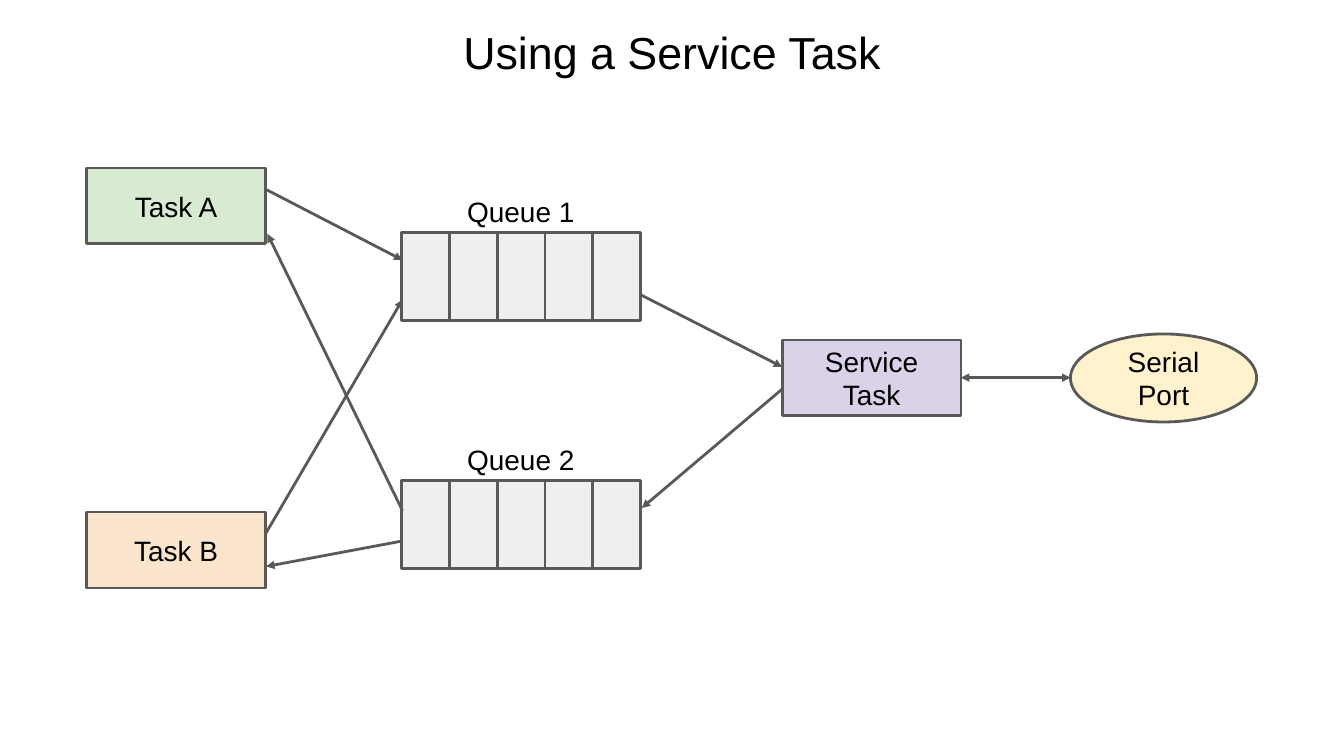
from dataclasses import dataclass

from lxml.etree import SubElement
from pptx import Presentation
from pptx.dml.color import RGBColor
from pptx.enum.shapes import MSO_CONNECTOR, MSO_SHAPE
from pptx.enum.text import MSO_ANCHOR, PP_ALIGN
from pptx.oxml.ns import qn
from pptx.util import Inches, Pt


@dataclass(frozen=True)
class Theme:
    font: str = "Arial"
    title_size: int = 48
    label_size: int = 30
    line_width: int = 3
    text: str = "000000"
    line: str = "595959"
    task_a: str = "D9EAD3"
    task_b: str = "FCE5CD"
    service: str = "D9D2E9"
    port: str = "FFF2CC"
    queue: str = "EFEFEF"


THEME = Theme()
BOX_WIDTH, BOX_HEIGHT = 2.66, 1.13
QUEUE_LEFT, CELL_WIDTH, CELL_HEIGHT, CELL_COUNT = 5.98, 0.71, 1.31, 5


def color(value):
    return RGBColor.from_string(value)


def write_text(shape, text, size):
    frame = shape.text_frame
    frame.word_wrap = True
    frame.vertical_anchor = MSO_ANCHOR.MIDDLE
    frame.margin_left = frame.margin_right = Inches(0.1)
    frame.margin_top = frame.margin_bottom = Inches(0.1)
    frame.text = text
    for paragraph in frame.paragraphs:
        paragraph.alignment = PP_ALIGN.CENTER
        paragraph.font.name = THEME.font
        paragraph.font.size = Pt(size)
        paragraph.font.color.rgb = color(THEME.text)


def set_title(slide, text):
    title = slide.shapes.title
    title.left, title.top = Inches(5.15), Inches(0)
    title.width, title.height = Inches(9.7), Inches(1.54)
    write_text(title, text, THEME.title_size)


def style_line(line):
    line.color.rgb = color(THEME.line)
    line.width = Pt(THEME.line_width)


def add_node(slide, kind, left, top, width, height, fill, text=""):
    shape = slide.shapes.add_shape(
        kind, Inches(left), Inches(top), Inches(width), Inches(height))
    shape.shadow.inherit = False
    shape.fill.solid()
    shape.fill.fore_color.rgb = color(fill)
    style_line(shape.line)
    if text:
        write_text(shape, text, THEME.label_size)


def add_box(slide, left, top, fill, text):
    add_node(slide, MSO_SHAPE.RECTANGLE, left, top,
             BOX_WIDTH, BOX_HEIGHT, fill, text)


def add_queue(slide, top, text):
    label = slide.shapes.add_textbox(
        Inches(6.61), Inches(top - 0.67), Inches(2.28), Inches(0.71))
    write_text(label, text, THEME.label_size)
    for index in range(CELL_COUNT):
        add_node(slide, MSO_SHAPE.RECTANGLE, QUEUE_LEFT + index * CELL_WIDTH, top,
                 CELL_WIDTH, CELL_HEIGHT, THEME.queue)


def add_arrow(slide, start, end, both_ends=False):
    connector = slide.shapes.add_connector(
        MSO_CONNECTOR.STRAIGHT, *(Inches(value) for value in start + end))
    style_line(connector.line)
    outline = connector.line._get_or_add_ln()
    for tag in ("a:headEnd", "a:tailEnd") if both_ends else ("a:tailEnd",):
        SubElement(outline, qn(tag), type="triangle")
    SubElement(connector._element.spPr, qn("a:effectLst"))


def main():
    presentation = Presentation()
    presentation.slide_width = Inches(20)
    presentation.slide_height = Inches(11.25)
    slide = presentation.slides.add_slide(presentation.slide_layouts[5])
    set_title(slide, "Using a Service Task")

    add_box(slide, 1.29, 2.5, THEME.task_a, "Task A")
    add_box(slide, 1.29, 7.62, THEME.task_b, "Task B")
    add_queue(slide, 3.46, "Queue 1")
    add_queue(slide, 7.15, "Queue 2")
    add_box(slide, 11.64, 5.06, THEME.service, "Service\nTask")
    add_node(slide, MSO_SHAPE.OVAL, 15.93, 4.97, 2.77, 1.31,
             THEME.port, "Serial Port")

    for start, end in (
        ((3.96, 2.82), (5.99, 3.87)),
        ((9.54, 4.39), (11.64, 5.46)),
        ((3.96, 7.93), (5.99, 4.46)),
        ((11.64, 5.79), (9.55, 7.56)),
        ((5.99, 8.05), (3.96, 8.43)),
        ((5.99, 7.6), (3.98, 3.48)),
    ):
        add_arrow(slide, start, end)
    add_arrow(slide, (14.3, 5.62), (15.93, 5.62), both_ends=True)

    presentation.save("out.pptx")


main()
